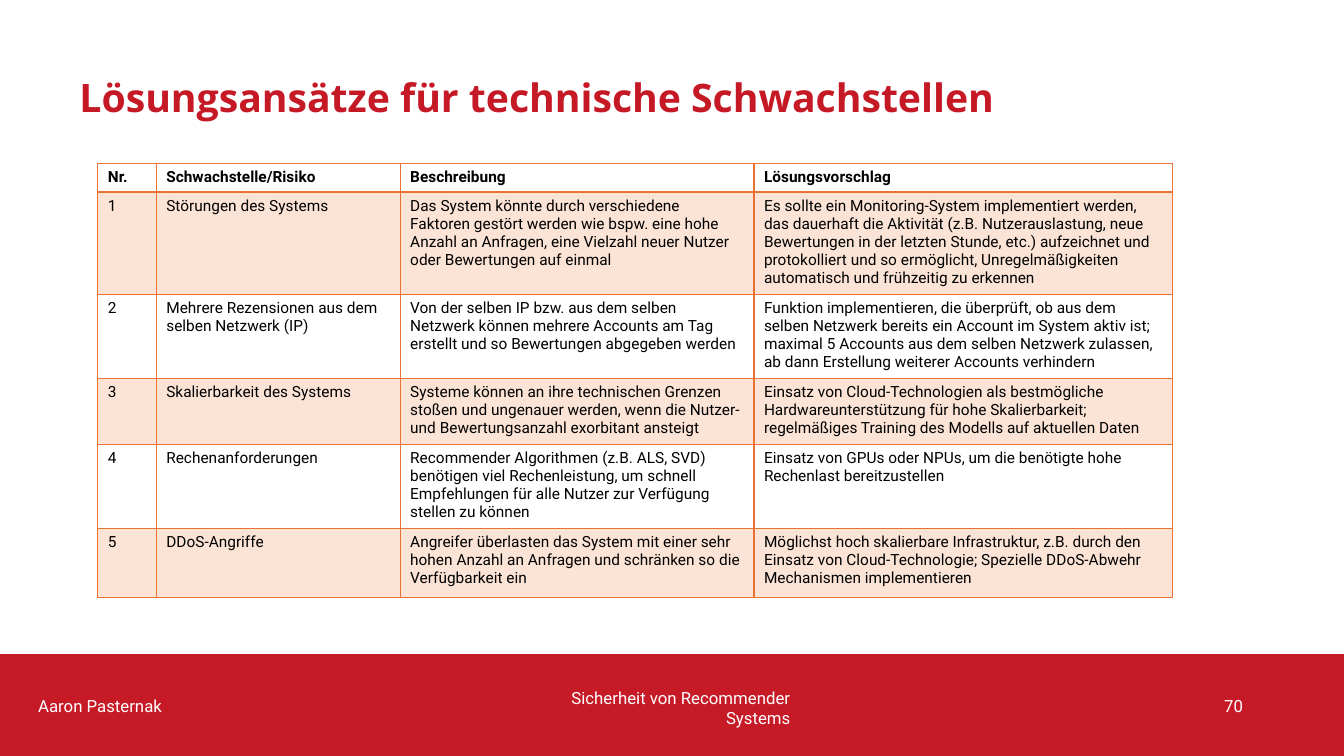
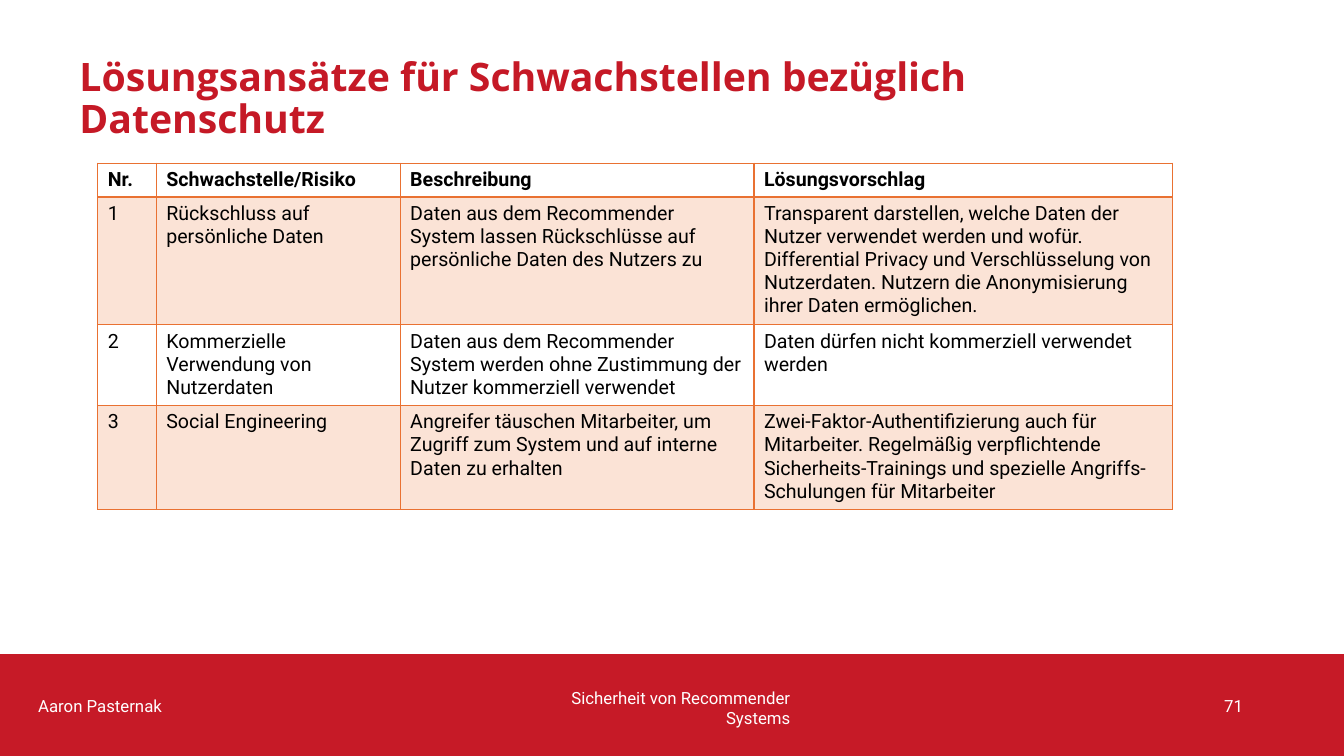
from dataclasses import dataclass

from lxml.etree import SubElement as Sub
from pptx import Presentation
from pptx.dml.color import RGBColor as Rgb
from pptx.enum.shapes import MSO_SHAPE as Shape
from pptx.enum.text import MSO_ANCHOR as Anchor, PP_ALIGN as Align
from pptx.oxml.ns import qn
from pptx.util import Inches, Pt

UNIT = Inches(1) // 12  # the page is a grid of 160 columns by 90 rows


@dataclass(frozen=True)
class Theme:
    title: str = "C51926"
    band: str = "C61A27"
    rule: str = "E97132"
    tint: str = "FBE3D6"
    ink: str = "000000"
    light: str = "FFFFFF"
    head: str = "Open Sans"
    body: str = "Roboto"
    big: int = 28
    small: int = 12
    thin: int = 1
    thick: int = 2


@dataclass(frozen=True)
class Box:
    x: float
    y: float
    w: float
    h: float

    def cut(self, x, y, w, h):
        """Return a box whose corner is given relative to this one."""
        return Box(self.x + x, self.y + y, w, h)

    def emu(self):
        return [round(n * UNIT) for n in (self.x, self.y, self.w, self.h)]


THEME = Theme()
PAGE = Box(0, 0, 160, 90)
AUTHOR = "Aaron Pasternak"
TOPIC = "Sicherheit von Recommender Systems"
HEADS = ("Nr.", "Schwachstelle/Risiko", "Beschreibung", "Lösungsvorschlag")
COLS = (58, 242, 351, 415)  # relative column widths

# Per slide: title, page number, text size, row heights in inches, rows
SLIDES = (
    ("Lösungsansätze für technische Schwachstellen", 70, 11,
     (0.27, 0.99, 0.81, 0.63, 0.81, 0.69), (
         ("Störungen des Systems",
          "Das System könnte durch verschiedene Faktoren gestört werden wie "
          "bspw. eine hohe Anzahl an Anfragen, eine Vielzahl neuer Nutzer "
          "oder Bewertungen auf einmal",
          "Es sollte ein Monitoring-System implementiert werden, das "
          "dauerhaft die Aktivität (z.B. Nutzerauslastung, neue Bewertungen "
          "in der letzten Stunde, etc.) aufzeichnet und protokolliert und so "
          "ermöglicht, Unregelmäßigkeiten automatisch und frühzeitig zu "
          "erkennen"),
         ("Mehrere Rezensionen aus dem selben Netzwerk (IP)",
          "Von der selben IP bzw. aus dem selben Netzwerk können mehrere "
          "Accounts am Tag erstellt und so Bewertungen abgegeben werden",
          "Funktion implementieren, die überprüft, ob aus dem selben "
          "Netzwerk bereits ein Account im System aktiv ist; maximal 5 "
          "Accounts aus dem selben Netzwerk zulassen, ab dann Erstellung "
          "weiterer Accounts verhindern"),
         ("Skalierbarkeit des Systems",
          "Systeme können an ihre technischen Grenzen stoßen und ungenauer "
          "werden, wenn die Nutzer- und Bewertungsanzahl exorbitant ansteigt",
          "Einsatz von Cloud-Technologien als bestmögliche "
          "Hardwareunterstützung für hohe Skalierbarkeit; regelmäßiges "
          "Training des Modells auf aktuellen Daten"),
         ("Rechenanforderungen",
          "Recommender Algorithmen (z.B. ALS, SVD) benötigen viel "
          "Rechenleistung, um schnell Empfehlungen für alle Nutzer zur "
          "Verfügung stellen zu können",
          "Einsatz von GPUs oder NPUs, um die benötigte hohe Rechenlast "
          "bereitzustellen"),
         ("DDoS-Angriffe",
          "Angreifer überlasten das System mit einer sehr hohen Anzahl an "
          "Anfragen und schränken so die Verfügbarkeit ein",
          "Möglichst hoch skalierbare Infrastruktur, z.B. durch den Einsatz "
          "von Cloud-Technologie; Spezielle DDoS-Abwehr Mechanismen "
          "implementieren"),
     )),
    ("Lösungsansätze für Schwachstellen bezüglich\nDatenschutz", 71, 14,
     (0.33, 1.24, 0.79, 1.01), (
         ("Rückschluss auf persönliche Daten",
          "Daten aus dem Recommender System lassen Rückschlüsse auf "
          "persönliche Daten des Nutzers zu",
          "Transparent darstellen, welche Daten der Nutzer verwendet werden "
          "und wofür. Differential Privacy und Verschlüsselung von "
          "Nutzerdaten. Nutzern die Anonymisierung ihrer Daten ermöglichen."),
         ("Kommerzielle Verwendung von Nutzerdaten",
          "Daten aus dem Recommender System werden ohne Zustimmung der "
          "Nutzer kommerziell verwendet",
          "Daten dürfen nicht kommerziell verwendet werden"),
         ("Social Engineering",
          "Angreifer täuschen Mitarbeiter, um Zugriff zum System und auf "
          "interne Daten zu erhalten",
          "Zwei-Faktor-Authentifizierung auch für Mitarbeiter. Regelmäßig "
          "verpflichtende Sicherheits-Trainings und spezielle "
          "Angriffs-Schulungen für Mitarbeiter"),
     )),
)


# Text
def write(frame, text, size, color, face=THEME.body, bold=False):
    para = frame.paragraphs[0]
    para.text = text
    font = para.font
    font.name, font.size, font.bold = face, Pt(size), bold
    font.color.rgb = Rgb.from_string(color)
    return para


def label(slide, box, text, size, color, **style):
    frame = slide.shapes.add_textbox(*box.emu()).text_frame
    frame.word_wrap = True
    frame.vertical_anchor = Anchor.MIDDLE
    return write(frame, text, size, color, **style)


# Title
def title(slide, box, text):
    para = label(slide, box, text, THEME.big, THEME.title,
                 face=THEME.head, bold=True)
    para.line_spacing = 0.9


# Footer band
def footer(slide, box, num):
    band = slide.shapes.add_shape(Shape.RECTANGLE, *box.emu())
    band.shadow.inherit = False
    band.fill.solid()
    band.fill.fore_color.rgb = Rgb.from_string(THEME.band)
    band.line.fill.background()
    for text, x, y, align in ((str(num), 113.16, 3.72, Align.RIGHT),
                              (AUTHOR, 3.36, 3.72, Align.LEFT),
                              (TOPIC, 59.28, 3.96, Align.RIGHT)):
        para = label(slide, box.cut(x, y, 36, 4.8), text,
                     THEME.small, THEME.light)
        para.alignment = align


# Risk table
def edge(cell, top, bottom):
    props = cell._tc.get_or_add_tcPr()
    sides = (("L", THEME.thin), ("R", THEME.thin), ("T", top), ("B", bottom))
    for spot, (side, width) in enumerate(sides):
        line = Sub(props, qn(f"a:ln{side}"), w=str(Pt(width)))
        Sub(Sub(line, qn("a:solidFill")), qn("a:srgbClr"), val=THEME.rule)
        props.insert(spot, line)  # borders precede the fill


def grid(slide, box, size, highs, rows):
    data = [HEADS] + [(str(n), *row) for n, row in enumerate(rows, 1)]
    table = slide.shapes.add_table(len(data), len(COLS), *box.emu()).table
    table.first_row = table.horz_banding = False
    for col, share in zip(table.columns, COLS):
        col.width = round(box.w * UNIT * share / sum(COLS))
    for r, (high, texts) in enumerate(zip(highs, data)):
        table.rows[r].height = Inches(high)
        for c, text in enumerate(texts):
            cell = table.cell(r, c)
            write(cell.text_frame, text, size, THEME.ink, bold=r == 0)
            if r % 2:
                cell.fill.solid()
                cell.fill.fore_color.rgb = Rgb.from_string(THEME.tint)
            else:
                cell.fill.background()
            edge(cell, THEME.thick if r == 1 else THEME.thin,
                 THEME.thick if r == 0 else THEME.thin)


def build(deck, head, num, size, highs, rows):
    slide = deck.slides.add_slide(deck.slide_layouts[6])
    title(slide, PAGE.cut(8.28, 4.8, 138, 14.16), head)
    footer(slide, PAGE.cut(0, 77.88, PAGE.w, 12.12), num)
    grid(slide, PAGE.cut(11.64, 19.44, 127.92, sum(highs) * 12),
         size, highs, rows)


def main():
    deck = Presentation()
    deck.slide_width, deck.slide_height = PAGE.emu()[2:]
    for parts in SLIDES:
        build(deck, *parts)
    deck.save("out.pptx")


if __name__ == "__main__":
    main()
